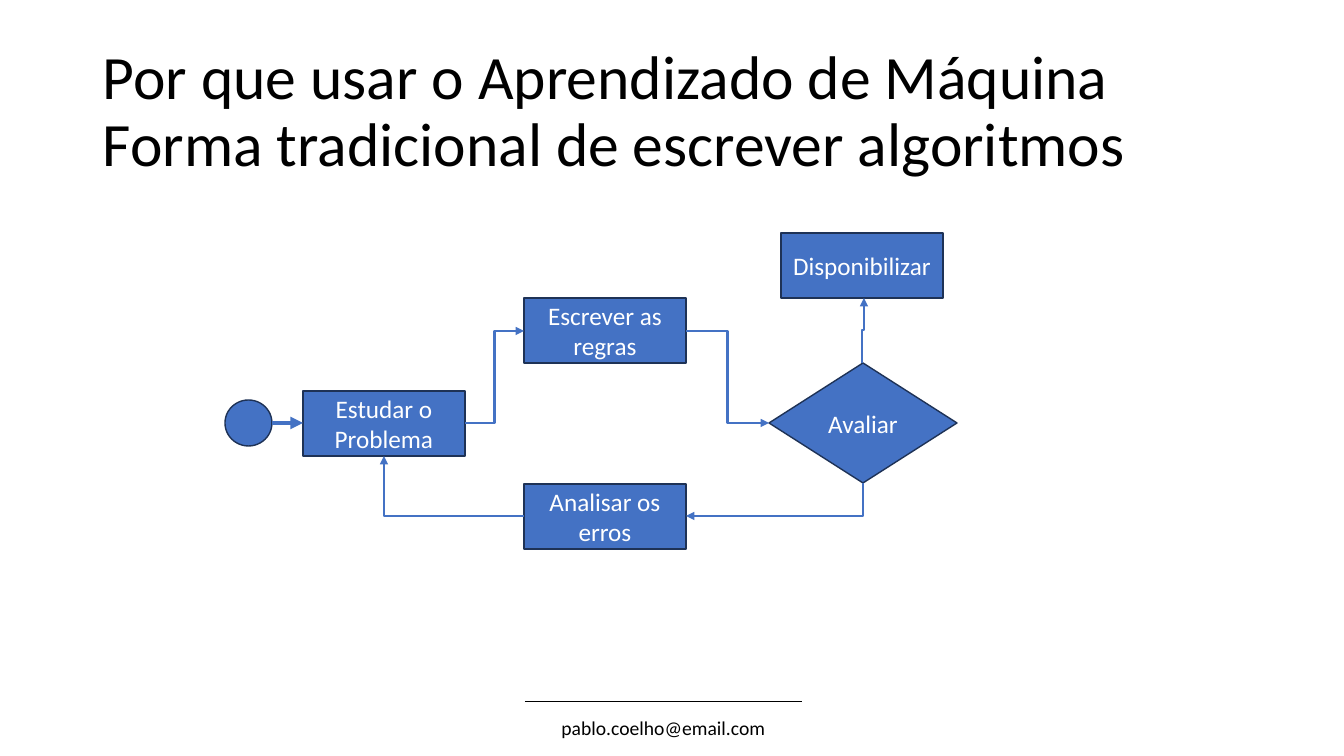
from pptx import Presentation
from pptx.dml.color import RGBColor
from pptx.enum.shapes import MSO_CONNECTOR as CONN, MSO_SHAPE as SHAPE
from pptx.enum.text import MSO_ANCHOR as ANCHOR, PP_ALIGN as ALIGN
from pptx.oxml.ns import qn
from pptx.util import Pt
from lxml import etree

PX = 914400 / 100.8
BLUE = RGBColor(0x44, 0x72, 0xC4)
NAVY = RGBColor(0x1E, 0x32, 0x56)
BLACK = RGBColor(0, 0, 0)
WHITE = RGBColor(0xFF, 0xFF, 0xFF)


def write(sp, text, size, color, align):
    tf = sp.text_frame
    tf.word_wrap = True
    tf.vertical_anchor = ANCHOR.MIDDLE
    p = tf.paragraphs[0]
    p.text = text
    p.alignment = align
    for r in p.runs:
        r.font.name = "Calibri"
        r.font.size = Pt(size)
        r.font.color.rgb = color
    return p


def connect(kind, start, end, color, width, turn=0):
    """Line from start to end; turn is the frame's rotation in degrees."""
    cx, cy = (start[0] + end[0]) / 2, (start[1] + end[1]) / 2
    dx, dy = start[0] - cx, start[1] - cy
    dx, dy = {0: (dx, dy), 90: (dy, -dx), 180: (-dx, -dy)}[turn]
    ends = (cx + dx, cy + dy, cx - dx, cy - dy)
    line = s.shapes.add_connector(kind, *[round(v * PX) for v in ends])
    line.line.color.rgb = color
    line.line.width = Pt(width)
    spPr = line._element.spPr
    if turn:
        spPr.find(qn("a:xfrm")).set("rot", str(turn * 60000))
    etree.SubElement(spPr, qn("a:effectLst"))
    return line


prs = Presentation()
prs.slide_width = round(1344 * PX)
prs.slide_height = round(756 * PX)
s = prs.slides.add_slide(prs.slide_layouts[6])

# Footer
connect(CONN.STRAIGHT, (525, 701), (802, 701), BLACK, 0.5)
footer = s.shapes.add_textbox(*[round(v * PX) for v in (525, 711, 277, 34)])
write(footer, "pablo.coelho@email.com", 14, BLACK, ALIGN.CENTER)

# Title
title = s.shapes.add_textbox(*[round(v * PX) for v in (93, 40, 1159, 146)])
p = write(title, "Por que usar o Aprendizado de Máquina\v"
          "Forma tradicional de escrever algoritmos", 44, BLACK, ALIGN.LEFT)
p.line_spacing = 0.9

# Flowchart nodes
STEP = (162, 65)
nodes = [
    (SHAPE.OVAL, (225, 400), (47, 46), ""),
    (SHAPE.RECTANGLE, (303, 391), STEP, "Estudar o Problema"),
    (SHAPE.RECTANGLE, (524, 298), STEP, "Escrever as regras"),
    (SHAPE.RECTANGLE, (524, 484), STEP, "Analisar os erros"),
    (SHAPE.DIAMOND, (769, 363), (188, 120), "Avaliar"),
    (SHAPE.RECTANGLE, (781, 233), STEP, "Disponibilizar"),
]
for kind, at, size, text in nodes:
    sp = s.shapes.add_shape(kind, *[round(v * PX) for v in at + size])
    sp.shadow.inherit = False
    sp.fill.solid()
    sp.fill.fore_color.rgb = BLUE
    sp.line.color.rgb = NAVY
    sp.line.width = Pt(1)
    if text:
        write(sp, text, 18, WHITE, ALIGN.CENTER)

# Arrows: start, end, width, turn, preset
arrows = [
    ((272, 423), (303, 423), 3, 0, "line"),
    ((465, 423), (524, 331), 1.5, 0, "bentConnector3"),
    ((524, 516), (384, 456), 1.5, 180, "bentConnector2"),
    ((863, 483), (686, 516), 1.5, 90, "bentConnector2"),
    ((686, 331), (769, 423), 1.5, 0, "bentConnector3"),
    ((862, 363), (864, 298), 1.5, 90, "bentConnector3"),
]
for start, end, width, turn, preset in arrows:
    kind = CONN.STRAIGHT if preset == "line" else CONN.ELBOW
    arrow = connect(kind, start, end, BLUE, width, turn)
    arrow._element.spPr.find(qn("a:prstGeom")).set("prst", preset)
    etree.SubElement(arrow.line._get_or_add_ln(), qn("a:tailEnd"), type="triangle")

prs.save("out.pptx")
